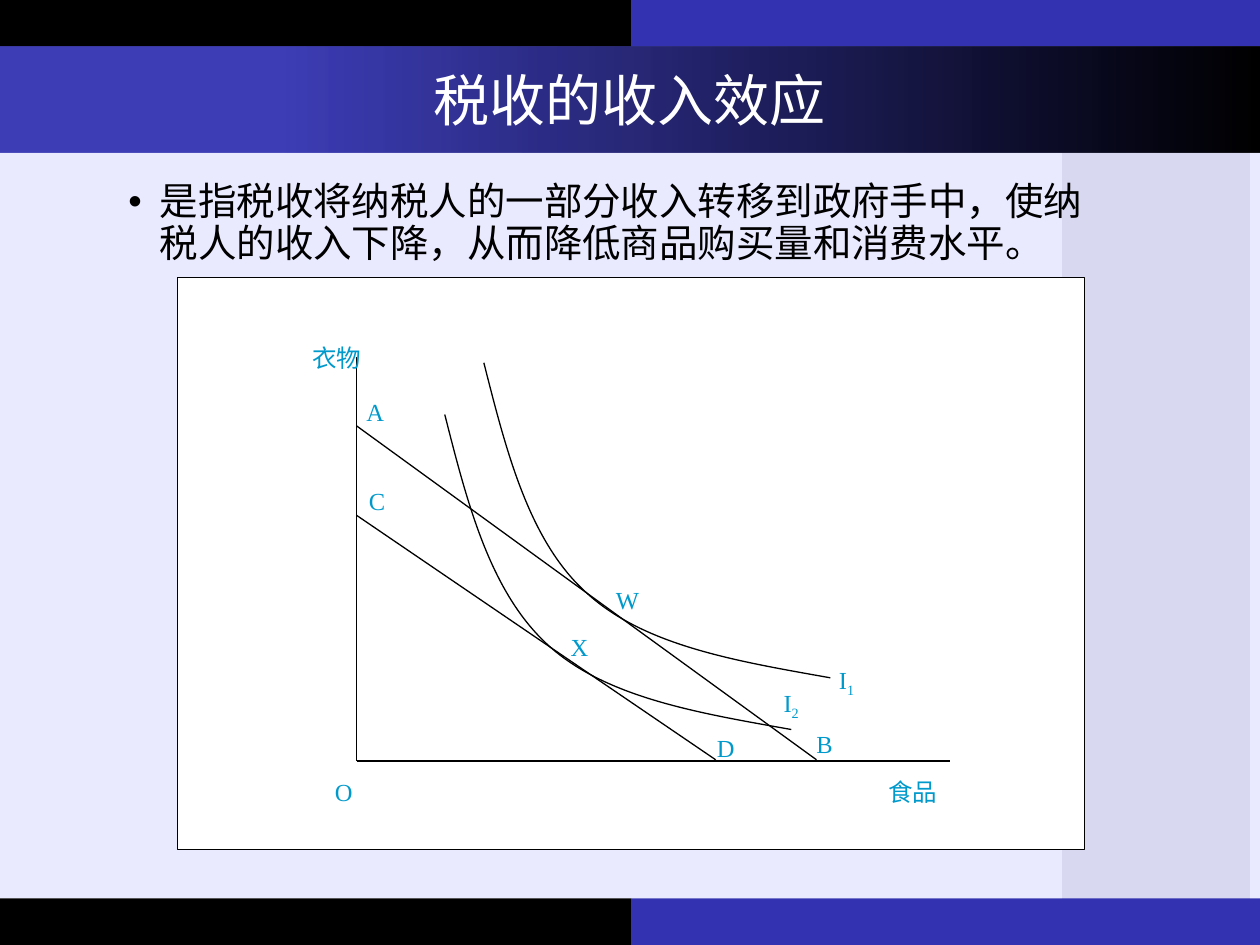
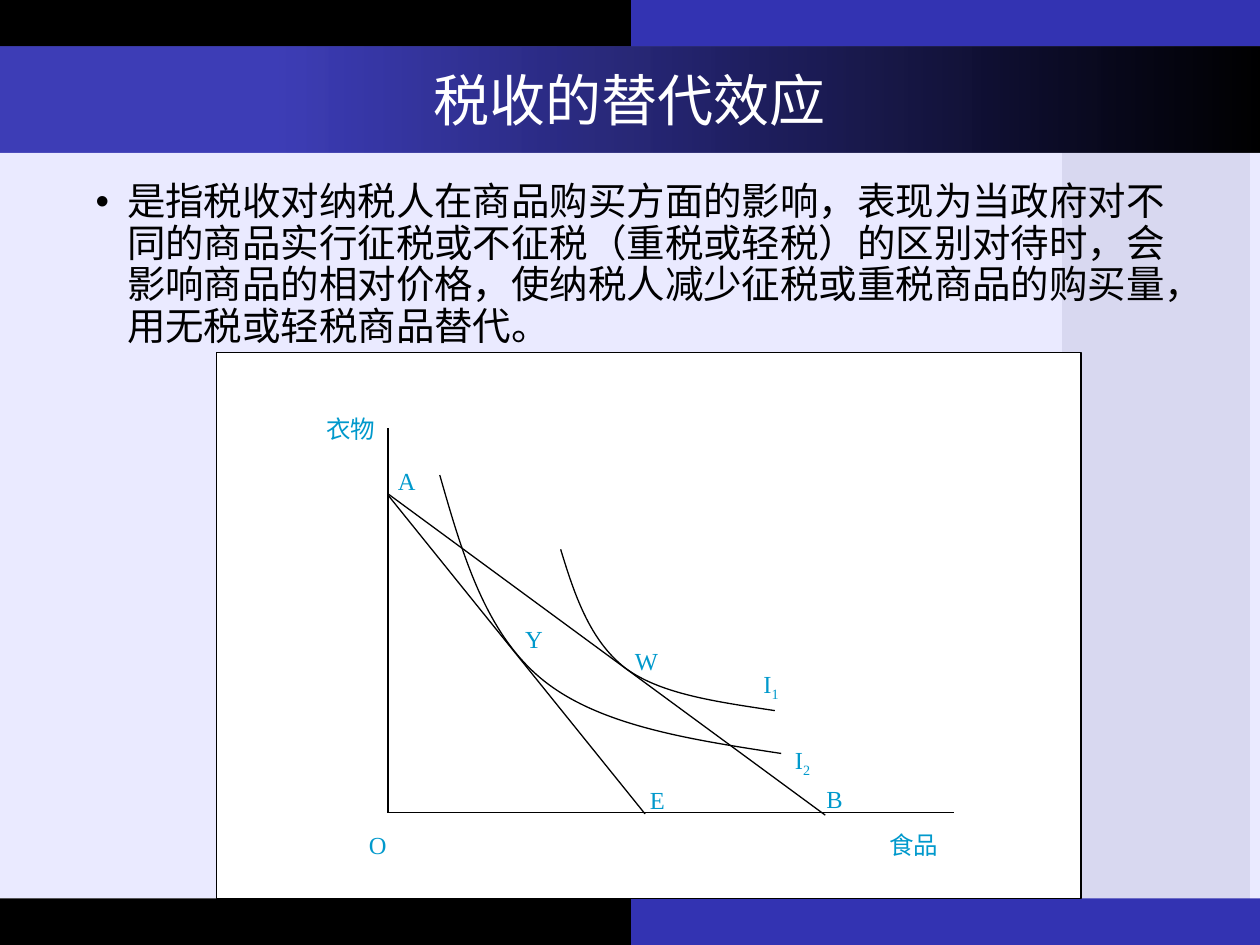
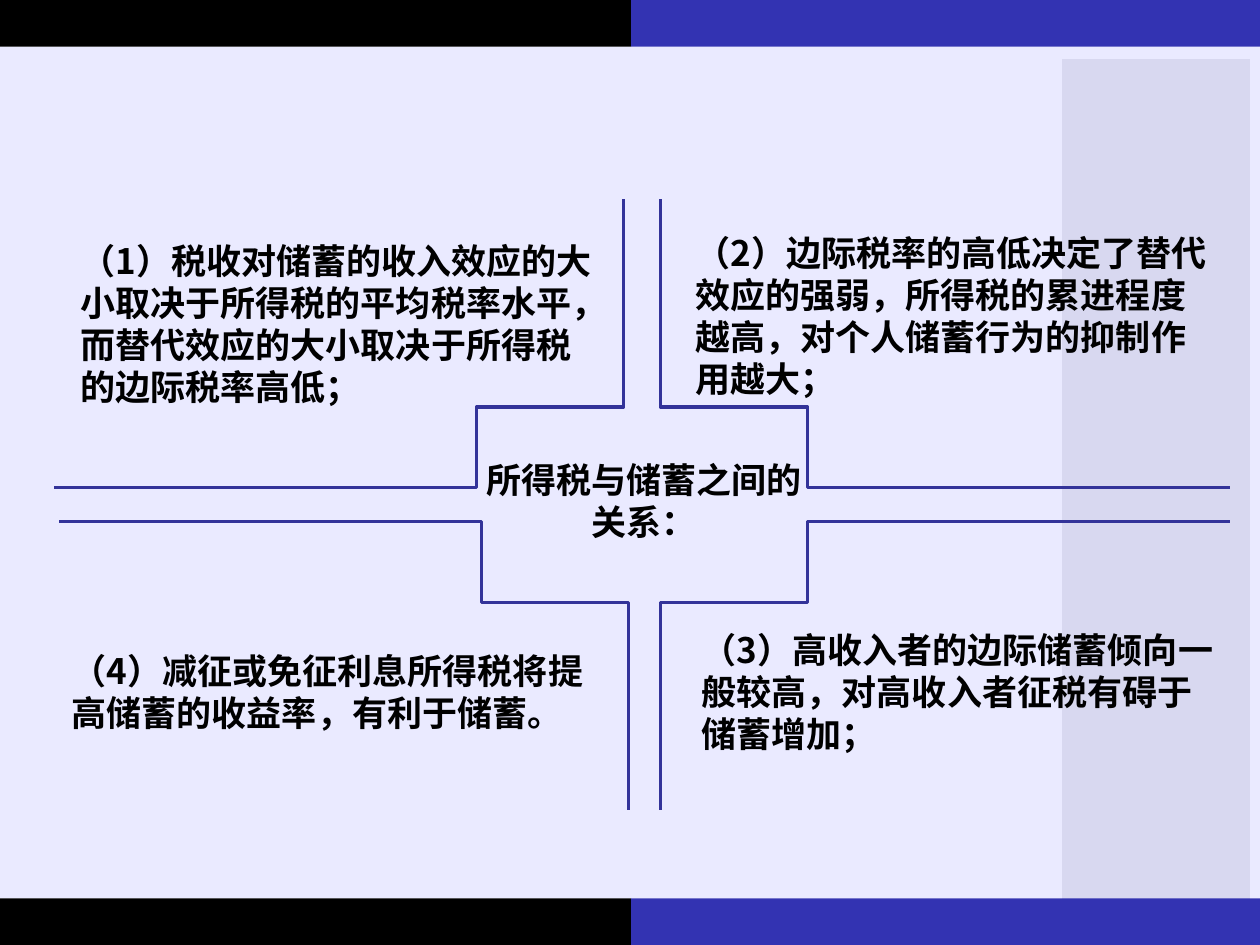
import pptx
import pptx.util
import pptx.dml.color
import pptx.enum.shapes
import pptx.enum.text
import pptx.oxml.ns
import lxml.etree

Inches, Pt = pptx.util.Inches, pptx.util.Pt
qn = pptx.oxml.ns.qn
rgb = pptx.dml.color.RGBColor.from_string
RECT = pptx.enum.shapes.MSO_SHAPE.RECTANGLE
STRAIGHT = pptx.enum.shapes.MSO_CONNECTOR.STRAIGHT
ALIGN = pptx.enum.text.PP_ALIGN
MIDDLE = pptx.enum.text.MSO_ANCHOR.MIDDLE

BLACK, WHITE, BLUE = "000000", "FFFFFF", "3333B2"
PALE, SHADE, LABEL, ELBOW = "EAEAFF", "D8D8F0", "0099CC", "333399"
SANS, SERIF = "Noto Sans CJK SC", "Times New Roman"


def add_run(p, text, size, color, font=SANS, bold=False):
    """Append a styled run to a paragraph and return it."""
    r = p.add_run()
    r.text = text
    r.font.size, r.font.name, r.font.bold = Pt(size), font, bold
    r.font.color.rgb = rgb(color)
    rpr = r.font._element
    rpr.set("lang", "zh-CN")
    ea = lxml.etree.SubElement(rpr, qn("a:ea"))
    ea.set("typeface", font if "CJK" in font else SANS)
    return r


def add_box(s, *at):
    """Add a wrapping text box, given in inches, and return its text frame."""
    tf = s.shapes.add_textbox(*map(Inches, at)).text_frame
    tf.word_wrap = True
    return tf


prs = pptx.Presentation()
prs.slide_width, prs.slide_height = Inches(10), Inches(7.5)

# Backdrop of every slide
backdrop = [
    (0, 0.37, 10, 6.76, PALE),
    (0, 0, 5.01, 0.37, BLACK),
    (5.01, 0, 4.99, 0.37, BLUE),
    (8.43, 0.47, 1.49, 6.74, SHADE),
    (0, 7.13, 5.01, 0.37, BLACK),
    (5.01, 7.13, 4.99, 0.37, BLUE),
]
for number in range(3):
    s = prs.slides.add_slide(prs.slide_layouts[6])
    for *at, color in backdrop:
        sp = s.shapes.add_shape(RECT, *map(Inches, at))
        sp.shadow.inherit = False
        sp.fill.solid()
        sp.fill.fore_color.rgb = rgb(color)
        sp.line.fill.background()

# Slides 1 and 2: title, definition and indifference-curve diagram
graphs = [
    {
        "title": "税收的收入效应",
        "body": "是指税收将纳税人的一部分收入转移到政府手中，使纳税人的收入下降，从而降低商品购买量和消费水平。",
        "body_at": (0.92, 1.4, 8.03, 4.76),
        "frame": (1.41, 2.2, 7.2, 4.54),
        "lines": [(2.83, 6.04, 7.54, 6.04), (2.83, 6.04, 2.83, 2.83),
                  (2.83, 3.38, 6.48, 6.03), (2.83, 4.09, 5.68, 6.03)],
        "curves": [
            [(3.84, 2.88), (4.02, 3.59), (4.2, 4.3), (4.66, 4.71),
             (5.12, 5.13), (5.86, 5.25), (6.59, 5.38)],
            [(3.53, 3.29), (3.71, 4), (3.89, 4.7), (4.35, 5.12),
             (4.81, 5.54), (5.55, 5.66), (6.28, 5.79)],
        ],
        "labels": [("衣物", "", 2.38, 2.67), ("O", "", 2.56, 6.12), ("食品", "", 6.95, 6.12),
                   ("A", "", 2.81, 3.1), ("B", "", 6.38, 5.74), ("C", "", 2.83, 3.81),
                   ("D", "", 5.59, 5.77), ("W", "", 4.79, 4.59), ("X", "", 4.43, 4.97),
                   ("I", "1", 6.56, 5.23), ("I", "2", 6.12, 5.41)],
    },
    {
        "title": "税收的替代效应",
        "body": "是指税收对纳税人在商品购买方面的影响，表现为当政府对不同的商品实行征税或不征税（重税或轻税）的区别对待时，"
                "会影响商品的相对价格，使纳税人减少征税或重税商品的购买量，用无税或轻税商品替代。",
        "body_at": (0.66, 1.4, 8.95, 4.76),
        "frame": (1.72, 2.8, 6.86, 4.33),
        "lines": [(3.08, 6.45, 7.57, 6.45), (3.08, 6.45, 3.08, 3.4),
                  (3.08, 3.92, 6.55, 6.47), (3.08, 3.93, 5.12, 6.46)],
        "curves": [
            [(4.45, 4.36), (4.56, 4.72), (4.68, 5.08), (4.96, 5.3),
             (5.24, 5.51), (5.69, 5.57), (6.15, 5.64)],
            [(3.49, 3.77), (3.67, 4.4), (3.85, 5.02), (4.3, 5.39),
             (4.75, 5.76), (5.48, 5.87), (6.2, 5.98)],
        ],
        "labels": [("衣物", "", 2.49, 3.24), ("O", "", 2.83, 6.54), ("食品", "", 6.96, 6.54),
                   ("A", "", 3.06, 3.65), ("B", "", 6.46, 6.17), ("E", "", 5.06, 6.18),
                   ("W", "", 4.94, 5.08), ("Y", "", 4.07, 4.9),
                   ("I", "1", 5.96, 5.26), ("I", "2", 6.21, 5.86)],
    },
]
for s, graph in zip(prs.slides, graphs):
    band = s.shapes.add_shape(RECT, 0, Inches(0.37), Inches(10), Inches(0.84))
    band.shadow.inherit = False
    band.line.fill.background()
    band.fill.gradient()
    band.fill.gradient_angle = 0
    for stop, position, color in zip(band.fill.gradient_stops, (0.22, 1), (BLUE, BLACK)):
        stop.position = position
        stop.color.rgb = rgb(color)
    tint = band.element.find(".//" + qn("a:gs")).find(qn("a:srgbClr"))
    lxml.etree.SubElement(tint, qn("a:alpha")).set("val", "94000")
    band.text_frame.vertical_anchor = MIDDLE
    p = band.text_frame.paragraphs[0]
    p.alignment = ALIGN.CENTER
    add_run(p, graph["title"], 32, WHITE, "Noto Sans CJK JP")

    p = add_box(s, *graph["body_at"]).paragraphs[0]
    p.line_spacing, p.space_before = 0.9, Pt(10)
    ppr = p._p.get_or_add_pPr()
    ppr.set("marL", str(Inches(0.25)))
    ppr.set("indent", str(Inches(-0.25)))
    lxml.etree.SubElement(ppr, qn("a:buFont")).set("typeface", "Arial")
    lxml.etree.SubElement(ppr, qn("a:buChar")).set("char", "•")
    add_run(p, graph["body"], 22, BLACK)

    frame = s.shapes.add_shape(RECT, *map(Inches, graph["frame"]))
    frame.shadow.inherit = False
    frame.fill.solid()
    frame.fill.fore_color.rgb = rgb(WHITE)
    frame.line.color.rgb = rgb(BLACK)
    frame.line.width = Pt(0.75)

    for ends in graph["lines"]:
        line = s.shapes.add_connector(STRAIGHT, *map(Inches, ends))
        line.line.color.rgb = rgb(BLACK)
        line.line.width = Pt(0.75)
        lxml.etree.SubElement(line.element.spPr, qn("a:effectLst"))

    for points in graph["curves"]:
        start, *rest = [(Inches(x), Inches(y)) for x, y in points]
        builder = s.shapes.build_freeform(*start)
        builder.add_line_segments(rest, close=False)
        curve = builder.convert_to_shape()
        curve.shadow.inherit = False
        curve.fill.background()
        curve.line.color.rgb = rgb(BLACK)
        curve.line.width = Pt(0.75)
        # Every three straight steps become one cubic Bezier segment
        outline = curve.element.find(".//" + qn("a:path"))
        for i, step in enumerate(outline.findall(qn("a:lnTo"))):
            if i % 3 == 0:
                bezier = lxml.etree.SubElement(outline, qn("a:cubicBezTo"))
            bezier.append(step[0])
            outline.remove(step)

    for text, subscript, x, y in graph["labels"]:
        p = add_box(s, x, y, 0.62, 0.32).paragraphs[0]
        add_run(p, text, 14, LABEL, SERIF)
        if subscript:
            r = add_run(p, subscript, 14, LABEL, SERIF)
            r.font._element.set("baseline", "-25000")

# Slide 3: four notes around a centre, parted by mirrored elbow lines
s = prs.slides[2]
for x, y, dx, dy in [(4.95, 3.87, -1, -1), (5.24, 3.87, 1, -1),
                     (4.99, 4.14, -1, 1), (5.24, 4.14, 1, 1)]:
    steps = [(4.52, 0), (1.17, 0), (1.17, 0.64), (0, 0.64), (0, 2.29)]
    start, *rest = [(Inches(x + dx * a), Inches(y + dy * b)) for a, b in steps]
    builder = s.shapes.build_freeform(*start)
    builder.add_line_segments(rest, close=False)
    elbow = builder.convert_to_shape()
    elbow.shadow.inherit = False
    elbow.fill.background()
    elbow.line.color.rgb = rgb(ELBOW)
    elbow.line.width = Pt(1.75)

p = add_box(s, 3.67, 3.59, 2.88, 0.77).paragraphs[0]
p.alignment = ALIGN.CENTER
p.space_before = Pt(10)
add_run(p, "所得税与储蓄之间的关系：", 20, BLACK, "Calibri", bold=True)

notes = [
    (0.54, 1.78, 1.58, "（1）税收对储蓄的收入效应的大小取决于所得税的平均税率水平，而替代效应的大小取决于所得税的边际税率高低；"),
    (5.42, 1.73, 1.55, "（2）边际税率的高低决定了替代效应的强弱，所得税的累进程度越高，对个人储蓄行为的抑制作用越大；"),
    (0.47, 5, 0.98, "（4）减征或免征利息所得税将提高储蓄的收益率，有利于储蓄。"),
    (5.47, 5, 0.98, "（3）高收入者的边际储蓄倾向一般较高，对高收入者征税有碍于储蓄增加；"),
]
for x, y, height, text in notes:
    tf = add_box(s, x, y, 4.29, height)
    tf.vertical_anchor = MIDDLE
    add_run(tf.paragraphs[0], text, 20, BLACK, bold=True)

prs.save("out.pptx")
